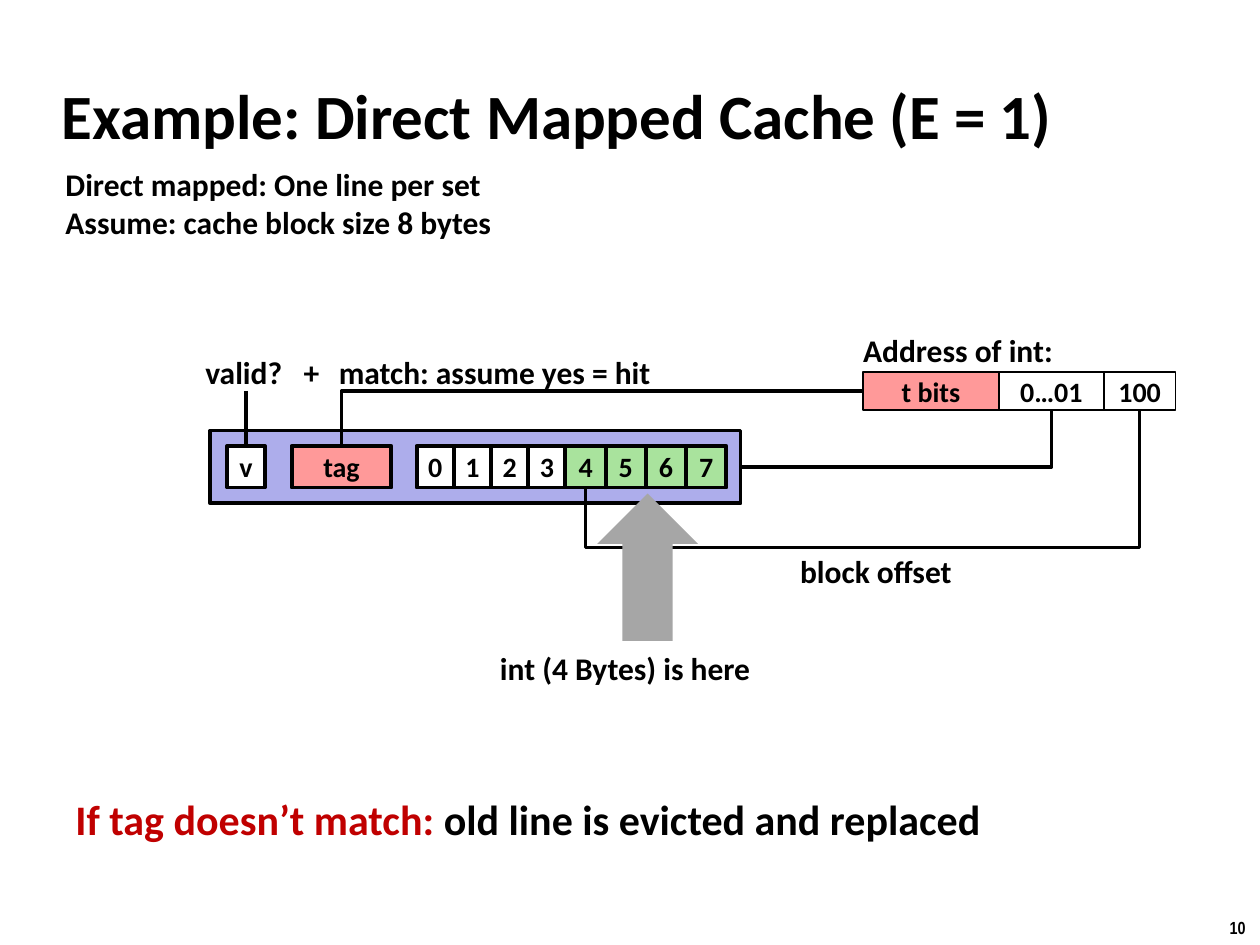
from lxml import etree
from pptx import Presentation
from pptx.dml.color import RGBColor
from pptx.enum import shapes, text
from pptx.oxml.ns import qn
from pptx.util import Cm, Pt

THEME = {
    "font": "Calibri", "small font": "Arial Narrow",
    "title": 36, "note": 24, "label": 18, "cell": 16, "number": 10,
    "thin": 1, "wire": 2, "thick": 2.25,
    "black": "000000", "white": "FFFFFF", "red": "C00000", "pink": "FF9999",
    "green": "A9E39D", "blue": "ADADEB", "gray": "A6A6A6",
}

# Content; all lengths are in centimetres.
TITLE = ("Example: Direct Mapped Cache (E = 1)", (0.99, 1.24, 21.08, 2.11))
INTRO = (["Direct mapped: One line per set", "Assume: cache block size 8 bytes"],
         (1.07, 3.2, 9.17, 1.8))
LABELS = [  # words, left, top, width
    ("Address of int:", 17.15, 6.55, 4.37),
    ("valid?", 3.89, 6.99, 2.2),
    ("+", 5.87, 6.99, 0.84),
    ("match: assume yes = hit", 6.58, 6.99, 6.86),
    ("int (4 Bytes) is here", 9.83, 12.95, 5.61),
    ("block offset", 15.88, 11, 3.61),
]
NOTE = ([("If tag doesn’t match: ", "red"), ("old line is evicted and replaced", "black")],
        (1.27, 15.88, 18.95, 1.27))
NUMBER = ("10", (24.54, 18.36, 0.86, 0.69))
ADDRESS = [("t bits", 2.74, "pink"), ("0…01", 2.11, "white"), ("100", 1.45, "white")]
FIELDS = [("v", 4.58, 0.76, "white"), ("tag", 5.88, 2.01, "pink")]
BYTES = [(str(n), 0.75, "white") for n in range(4)]
BYTES += [(str(n), 0.81, "green") for n in range(4, 8)]
LINE_BOX = (4.24, 8.68, 10.69, 1.47)
ARROW_BOX = (12.04, 9.95, 2.03, 2.97)
ADDRESS_AT = (17.4, 7.5, 0.76)  # left, top, height
BYTES_AT = (8.4, 8.99, 0.84)


def color(name):
    return RGBColor.from_string(THEME[name])


def style(para, size, face="font"):
    para.font.name = THEME[face]
    para.font.size = Pt(THEME[size])
    para.font.bold = True
    para.font.color.rgb = color("black")


def label(slide, lines, box, size="label", face="font"):
    """Add a text box; a line is a string or a list of (words, colour) runs."""
    frame = slide.shapes.add_textbox(*map(Cm, box)).text_frame
    frame.word_wrap = False
    frame.auto_size = text.MSO_AUTO_SIZE.SHAPE_TO_FIT_TEXT
    for i, line in enumerate(lines):
        para = frame.add_paragraph() if i else frame.paragraphs[0]
        style(para, size, face)
        if isinstance(line, str):
            para.text = line
            continue
        for words, tint in line:
            run = para.add_run()
            run.text = words
            run.font.color.rgb = color(tint)


def block(slide, box, fill, words="", line="thick", kind=shapes.MSO_SHAPE.RECTANGLE):
    shape = slide.shapes.add_shape(kind, *map(Cm, box))
    shape.shadow.inherit = False
    shape.fill.solid()
    shape.fill.fore_color.rgb = color(fill)
    if line:
        shape.line.color.rgb = color("black")
        shape.line.width = Pt(THEME[line])
    else:
        shape.line.fill.background()
    if words:
        frame = shape.text_frame
        frame.word_wrap = False
        frame.vertical_anchor = text.MSO_ANCHOR.MIDDLE
        para = frame.paragraphs[0]
        para.text = words
        para.alignment = text.PP_ALIGN.CENTER
        style(para, "cell")


def row(slide, cells, at, line):
    """Draw touching cells and return their boxes."""
    left, top, height = at
    boxes = []
    for words, width, fill in cells:
        boxes.append((left, top, width, height))
        block(slide, boxes[-1], fill, words, line)
        left += width
    return boxes


def wire(slide, start, end):
    link = slide.shapes.add_connector(shapes.MSO_CONNECTOR.STRAIGHT, *map(Cm, start + end))
    link.line.color.rgb = color("black")
    link.line.width = Pt(THEME["wire"])
    etree.SubElement(link._element.spPr, qn("a:effectLst"))
    return link


def elbow(slide, start, end, preset, turn, flip=False, bend=None):
    """Bend a wire whose first leg runs right before it is turned by `turn` degrees."""
    link = wire(slide, start, end)
    wide, high = abs(end[0] - start[0]), abs(end[1] - start[1])
    if turn == 90:
        wide, high = high, wide
    link.left = Cm((start[0] + end[0] - wide) / 2)
    link.top = Cm((start[1] + end[1] - high) / 2)
    link.width, link.height = Cm(wide), Cm(high)
    props = link._element.spPr
    frame = props.find(qn("a:xfrm"))
    for key in ("flipH", "flipV"):
        frame.attrib.pop(key, None)
    frame.set("rot", str(turn * 60000))
    if flip:
        frame.set("flipV", "1")
    shape = props.find(qn("a:prstGeom"))
    shape.set("prst", preset)
    if bend:
        guide = etree.SubElement(shape.find(qn("a:avLst")), qn("a:gd"))
        guide.set("name", "adj1")
        guide.set("fmla", f"val {round(bend * 100000)}")


def spot(box, across, down):
    """Point at the given fractions of a box."""
    left, top, width, height = box
    return (left + across * width, top + down * height)


def main():
    deck = Presentation()
    deck.slide_width, deck.slide_height = Cm(25.4), Cm(19.05)
    slide = deck.slides.add_slide(deck.slide_layouts[5])

    title = slide.shapes.title
    title.left, title.top, title.width, title.height = map(Cm, TITLE[1])
    title.text_frame.vertical_anchor = text.MSO_ANCHOR.MIDDLE
    para = title.text_frame.paragraphs[0]
    para.text = TITLE[0]
    para.alignment = text.PP_ALIGN.LEFT
    style(para, "title")

    label(slide, *INTRO)
    bits, index, offset = row(slide, ADDRESS, ADDRESS_AT, "thin")
    block(slide, LINE_BOX, "blue")
    _, top, height = BYTES_AT
    valid, tag = [(left, top, width, height) for _, left, width, _ in FIELDS]
    for box, (words, _, _, fill) in zip((valid, tag), FIELDS):
        block(slide, box, fill, words)
    cells = row(slide, BYTES, BYTES_AT, "thick")

    match = spot(bits, 0, 0.5)
    flag = spot(valid, 0.5, 0)
    elbow(slide, spot(index, 0.5, 1), spot(LINE_BOX, 1, 0.5), "bentConnector2", 90)
    elbow(slide, match, spot(tag, 0.5, 0), "bentConnector2", 180, flip=True)
    wire(slide, (flag[0], match[1]), flag)
    elbow(slide, spot(offset, 0.5, 1), spot(cells[4], 0.5, 1), "bentConnector3", 90, bend=1.77)
    block(slide, ARROW_BOX, "gray", line=None, kind=shapes.MSO_SHAPE.UP_ARROW)

    for words, left, top, width in LABELS:
        label(slide, [words], (left, top, width, 1.02))
    label(slide, [NOTE[0]], NOTE[1], "note")
    label(slide, [NUMBER[0]], NUMBER[1], "number", "small font")
    deck.save("out.pptx")


if __name__ == "__main__":
    main()
